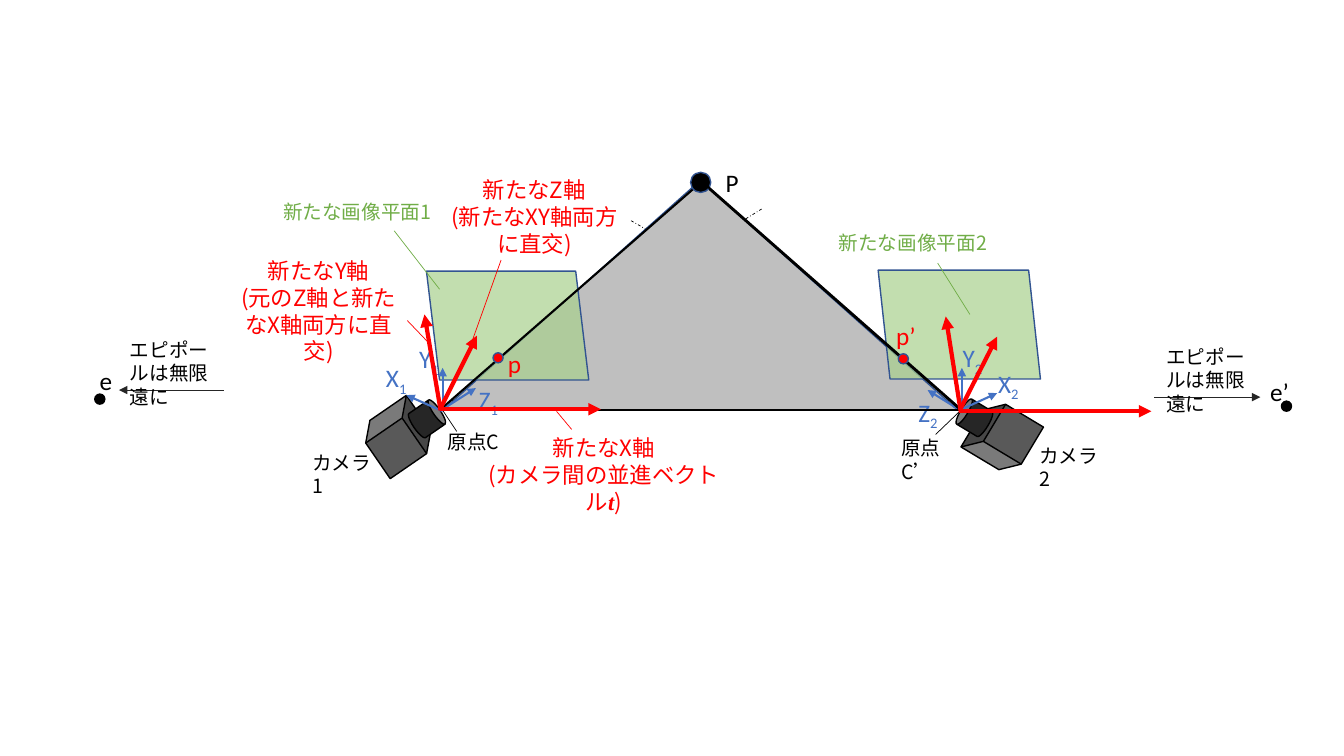
from dataclasses import dataclass
from functools import singledispatch

from lxml import etree
from pptx import Presentation
from pptx.dml.color import RGBColor
from pptx.enum.dml import MSO_LINE
from pptx.enum.shapes import MSO_CONNECTOR, MSO_SHAPE
from pptx.enum.text import MSO_ANCHOR, MSO_AUTO_SIZE, PP_ALIGN
from pptx.oxml.ns import qn
from pptx.util import Inches, Pt

STRAIGHT = MSO_CONNECTOR.STRAIGHT
DASH_DOT = MSO_LINE.DASH_DOT
TRIANGLE = MSO_SHAPE.ISOSCELES_TRIANGLE
PARALLELOGRAM = MSO_SHAPE.PARALLELOGRAM
CUBE, CAN, OVAL = MSO_SHAPE.CUBE, MSO_SHAPE.CAN, MSO_SHAPE.OVAL
LEFT, CENTER = PP_ALIGN.LEFT, PP_ALIGN.CENTER
TOP = MSO_ANCHOR.TOP
GROW = MSO_AUTO_SIZE.SHAPE_TO_FIT_TEXT

COLORS = {
    "black": "000000", "dark": "262626", "body": "595959", "gray": "BFBFBF",
    "navy": "325491", "blue": "4472C4", "red": "FF0000",
    "green": "70AD47", "plane": "A9D18E",
}
LATIN, JAPANESE, SERIF = "Calibri", "Noto Sans CJK JP", "Times New Roman"
DOT = 0.1


@dataclass(frozen=True)
class Line:
    start: tuple[float, float]
    end: tuple[float, float]
    color: str
    width: float
    arrow: bool = False
    dashed: bool = False


@dataclass(frozen=True)
class Figure:
    kind: MSO_SHAPE
    box: tuple[float, float, float, float]
    fill: str
    outline: str = "black"
    adjust: float | None = None
    rotation: float = 0
    mirrored: bool = False
    opacity: int = 100


@dataclass(frozen=True)
class Camera:
    body: Figure
    lens: Figure


@dataclass(frozen=True)
class Span:
    text: str
    font: str = JAPANESE
    emphasis: bool = False
    subscript: bool = False


@dataclass(frozen=True)
class Label:
    box: tuple[float, float, float, float]
    paras: tuple[tuple[Span, ...], ...]
    color: str = "black"
    size: int = 14
    align: PP_ALIGN = LEFT
    wrap: bool = True


def rgb(name: str) -> RGBColor:
    return RGBColor.from_string(COLORS[name])


def axis_name(letter: str, number: str, left: float, top: float, width: float) -> Label:
    spans = (Span(letter, LATIN), Span(number, LATIN, subscript=True))
    return Label((left, top, width, 0.4), (spans,), "blue", 18)


def point_name(text: str, left: float, top: float, width: float = 0.4,
               color: str = "black") -> Label:
    wrap = len(text) == 1
    return Label((left, top, width, 0.4), ((Span(text, LATIN),),), color, 18, wrap=wrap)


def caption(text: str, left: float, top: float, width: float = 0.83,
            height: float = 0.34, color: str = "black", align: PP_ALIGN = LEFT) -> Label:
    return Label((left, top, width, height), ((Span(text),),), color, align=align)


def axis_note(title: str, detail: tuple[Span, ...], left: float, top: float,
              width: float = 1.94, height: float = 0.91) -> Label:
    return Label((left, top, width, height), ((Span(title),), detail), "red", 16, CENTER)


def dot(left: float, top: float, fill: str, outline: str, size: float = DOT) -> Figure:
    return Figure(OVAL, (left, top, size, size), fill, outline)


def image_plane(left: float, top: float, slant: float) -> Figure:
    return Figure(PARALLELOGRAM, (left, top, 1.61, 1.08), "plane", "navy", slant,
                  mirrored=True, opacity=70)


def camera(body: tuple[float, float], body_turn: float,
           lens: tuple[float, float], lens_turn: float) -> Camera:
    return Camera(Figure(CUBE, (*body, 0.6, 0.59), "body", adjust=0.274, rotation=body_turn),
                  Figure(CAN, (*lens, 0.29, 0.31), "dark", rotation=lens_turn))


def thin(start: tuple[float, float], end: tuple[float, float], color: str,
         arrow: bool = False) -> Line:
    return Line(start, end, color, 0.5, arrow)


def old_axis(start: tuple[float, float], end: tuple[float, float]) -> Line:
    return Line(start, end, "blue", 1.5, True)


def new_axis(start: tuple[float, float], end: tuple[float, float]) -> Line:
    return Line(start, end, "red", 3, True)


def edge(start: tuple[float, float], end: tuple[float, float]) -> Line:
    return Line(start, end, "black", 1.5)


@singledispatch
def draw(mark, shapes) -> None:
    raise TypeError(mark)


@draw.register
def draw_line(mark: Line, shapes) -> None:
    connector = shapes.add_connector(STRAIGHT, *map(Inches, mark.start + mark.end))
    connector.line.color.rgb = rgb(mark.color)
    connector.line.width = Pt(mark.width)
    if mark.dashed:
        connector.line.dash_style = DASH_DOT
    properties = connector._element.spPr
    if mark.arrow:
        etree.SubElement(properties.find(qn("a:ln")), qn("a:tailEnd"), type="triangle")
    etree.SubElement(properties, qn("a:effectLst"))


@draw.register
def draw_figure(mark: Figure, shapes) -> None:
    shape = shapes.add_shape(mark.kind, *map(Inches, mark.box))
    shape.shadow.inherit = False
    shape.rotation = mark.rotation
    shape.fill.solid()
    shape.fill.fore_color.rgb = rgb(mark.fill)
    shape.line.color.rgb = rgb(mark.outline)
    shape.line.width = Pt(1)
    if mark.adjust is not None:
        shape.adjustments[0] = mark.adjust
    properties = shape._element.spPr
    if mark.mirrored:
        properties.find(qn("a:xfrm")).set("flipH", "1")
    if mark.opacity < 100:
        color = properties.find(qn("a:solidFill"))[0]
        etree.SubElement(color, qn("a:alpha"), val=str(mark.opacity * 1000))


@draw.register
def draw_camera(mark: Camera, shapes) -> None:
    group = shapes.add_group_shape()
    for part in (mark.body, mark.lens):
        draw(part, group.shapes)


@draw.register
def draw_label(mark: Label, shapes) -> None:
    frame = shapes.add_textbox(*map(Inches, mark.box)).text_frame
    frame_format = {"word_wrap": mark.wrap, "auto_size": GROW, "vertical_anchor": TOP}
    for name, value in frame_format.items():
        setattr(frame, name, value)
    for index, spans in enumerate(mark.paras):
        para = frame.add_paragraph() if index else frame.paragraphs[0]
        para.alignment = mark.align
        for span in spans:
            run = para.add_run()
            run.text = span.text
            run.font.color.rgb = rgb(mark.color)
            font_format = {"size": Pt(mark.size), "name": span.font,
                           "bold": span.emphasis, "italic": span.emphasis}
            for name, value in font_format.items():
                setattr(run.font, name, value)
            properties = run._r.get_or_add_rPr()
            etree.SubElement(properties, qn("a:ea"), typeface=JAPANESE)
            if span.subscript:
                properties.set("baseline", "-25000")


EPIPOLE_NOTE = "エピポールは無限遠に"
MARKS = (
    Line((6.26, 2.19), (9.49, 4.05), "black", 0.5, dashed=True),
    Line((4.35, 4.06), (7.56, 2.07), "black", 0.5, dashed=True),
    Figure(TRIANGLE, (4.39, 1.79, 5.11, 2.28), "gray", "navy"),
    image_plane(8.71, 2.68, 0.109),
    image_plane(4.23, 2.69, 0.12),
    camera((9.64, 4.04), 211, (9.52, 3.99), 301),
    camera((3.65, 4.04), 325.5, (4.09, 4), 55.5),
    old_axis((4.39, 4.06), (4.72, 3.85)),
    axis_name("Z", "1", 4.65, 3.76, 0.51),
    axis_name("X", "1", 3.73, 3.55, 0.55),
    axis_name("Y", "1", 4.06, 3.36, 0.5),
    old_axis((4.39, 4.05), (4.39, 3.65)),
    old_axis((4.39, 4.08), (4.03, 3.92)),
    old_axis((9.54, 4.06), (9.89, 3.9)),
    old_axis((9.54, 4.05), (9.54, 3.65)),
    old_axis((9.54, 4.08), (9.2, 3.87)),
    axis_name("Z", "2", 9.01, 3.89, 0.45),
    edge((4.36, 4.07), (6.95, 1.81)),
    dot(4.89, 3.5, "red", "navy"),
    point_name("p", 4.94, 3.41, 0.37, "red"),
    edge((9.53, 4.07), (6.95, 1.8)),
    dot(6.85, 1.71, "black", "navy", 2 * DOT),
    point_name("P", 7.1, 1.61, 1.56),
    edge((9.53, 4.06), (6.95, 1.79)),
    edge((9.51, 4.07), (4.39, 4.07)),
    point_name("e’", 12.5, 3.68),
    dot(12.71, 3.98, "black", "black"),
    dot(0.94, 3.91, "black", "black"),
    point_name("e", 0.89, 3.58),
    caption("原点C", 4.34, 4.22),
    thin((4.53, 4.28), (4.39, 4.07), "black"),
    caption("原点C’", 8.84, 4.28),
    thin((9.28, 4.31), (9.53, 4.07), "black"),
    caption("カメラ1", 3, 4.42),
    caption("カメラ2", 10.21, 4.35),
    caption("新たな画像平面1", 2.66, 1.93, 1.77, color="green", align=CENTER),
    thin((4.36, 2.87), (3.91, 2.29), "green"),
    new_axis((4.36, 4.06), (5.96, 4.06)),
    axis_note("新たなX軸", (Span("(カメラ間の並進ベクトル"), Span("t", SERIF, True), Span(")")),
              4.74, 4.26, 2.5, 0.64),
    new_axis((4.37, 4.07), (4.21, 3.12)),
    axis_note("新たなY軸", (Span("(元のZ軸と新たなX軸両方に直交)"),), 2.19, 2.5),
    new_axis((4.36, 4.07), (4.73, 3.33)),
    new_axis((9.51, 4.08), (11.42, 4.08)),
    axis_name("X", "2", 9.8, 3.6, 0.49),
    axis_name("Y", "2", 9.45, 3.35, 0.51),
    point_name("p’", 8.79, 3.13, color="red"),
    dot(8.91, 3.51, "red", "navy"),
    caption("新たな画像平面2", 8.17, 2.24, 1.77, color="green", align=CENTER),
    thin((9.62, 3.12), (9.3, 2.61), "green"),
    new_axis((9.52, 4.07), (9.89, 3.34)),
    thin((11.45, 3.94), (12.5, 3.94), "dark", True),
    caption(EPIPOLE_NOTE, 11.47, 3.37, 1.14, 0.57),
    thin((2.22, 3.87), (1.18, 3.87), "dark", True),
    caption(EPIPOLE_NOTE, 1.19, 3.3, 1.14, 0.57),
    axis_note("新たなZ軸", (Span("(新たなXY軸両方に直交)"),), 4.33, 1.7),
    thin((4.62, 3.56), (4.97, 2.58), "red"),
    thin((4.26, 3.41), (4.04, 3.18), "red"),
    new_axis((9.53, 4.09), (9.38, 3.14)),
    thin((5.67, 4.26), (5.52, 4.08), "red"),
)


def main() -> None:
    deck = Presentation()
    deck.slide_width, deck.slide_height = Inches(13.33), Inches(7.5)
    page = deck.slides.add_slide(deck.slide_layouts[6])
    for mark in MARKS:
        draw(mark, page.shapes)
    deck.save("out.pptx")


if __name__ == "__main__":
    main()
